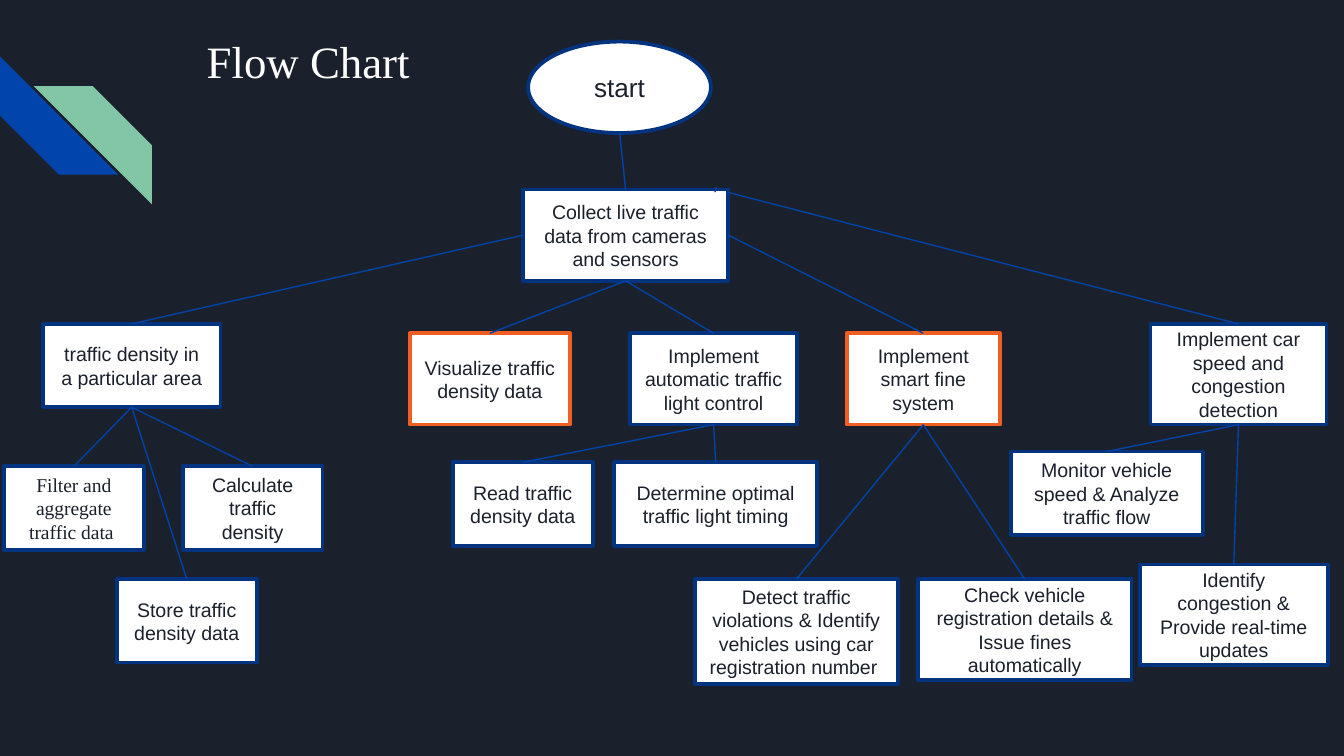
"""Build a traffic management flow chart slide."""
import lxml.etree
import pptx
import pptx.dml.color
import pptx.enum.shapes
import pptx.enum.text
import pptx.oxml.ns
import pptx.util

Inches = pptx.util.Inches
RGBColor = pptx.dml.color.RGBColor
Shapes = pptx.enum.shapes.MSO_SHAPE

BACKGROUND = RGBColor(0x1B, 0x21, 0x2C)
WHITE = RGBColor(0xFF, 0xFF, 0xFF)
NAVY = RGBColor(0x01, 0x33, 0x7F)
ORANGE = RGBColor(0xF1, 0x5E, 0x22)
LINK_BLUE = RGBColor(0x00, 0x43, 0xA9)
STRIPE_BLUE = RGBColor(0x01, 0x45, 0xAC)
STRIPE_GREEN = RGBColor(0x82, 0xC7, 0xA5)

SANS, SERIF = "Arial", "Times New Roman"
TOP, LEFT, BOTTOM, RIGHT = range(4)

TITLE = "Flow Chart"
START = ("start", (3.93, 0.31, 1.36, 0.68))
STEPS = {
    "collect": ("Collect live traffic data from cameras and sensors", (3.89, 1.41, 1.53, 0.68)),
    "density": ("traffic density in a particular area", (0.32, 2.41, 1.32, 0.62)),
    "visualize": ("Visualize traffic density data", (3.05, 2.48, 1.19, 0.68)),
    "lights": ("Implement automatic traffic light control", (4.69, 2.48, 1.24, 0.68)),
    "fines": ("Implement smart fine system", (6.3, 2.48, 1.14, 0.68)),
    "speed": ("Implement car speed and congestion detection", (8.56, 2.41, 1.31, 0.75)),
    "filter": ("Filter and aggregate traffic data ", (0.03, 3.47, 1.04, 0.62)),
    "calculate": ("Calculate traffic density", (1.36, 3.47, 1.04, 0.62)),
    "store": ("Store traffic density data", (0.87, 4.31, 1.04, 0.62)),
    "read": ("Read traffic density data", (3.37, 3.44, 1.04, 0.62)),
    "timing": ("Determine optimal traffic light timing", (4.57, 3.44, 1.51, 0.62)),
    "violations": (
        "Detect traffic violations & Identify vehicles using car registration number ",
        (5.17, 4.31, 1.51, 0.78),
    ),
    "registration": (
        "Check vehicle registration details & Issue fines automatically",
        (6.83, 4.31, 1.59, 0.75),
    ),
    "monitor": ("Monitor vehicle speed & Analyze traffic flow", (7.52, 3.36, 1.43, 0.62)),
    "congestion": (
        "Identify congestion & Provide real-time updates",
        (8.48, 4.2, 1.4, 0.75),
    ),
}
ORANGE_STEPS = ("visualize", "fines")
SERIF_STEPS = ("filter",)
BRANCHES = [
    ("collect", LEFT, ["density"]),
    ("collect", BOTTOM, ["visualize", "lights"]),
    ("collect", RIGHT, ["fines"]),
    ("density", BOTTOM, ["filter", "calculate", "store"]),
    ("lights", BOTTOM, ["read", "timing"]),
    ("fines", BOTTOM, ["violations", "registration"]),
    ("speed", BOTTOM, ["monitor", "congestion"]),
]
LOOSE_LINKS = [
    ((4.61, 0.98), (4.65, 1.41), "collect"),
    ((5.41, 1.43), (9.22, 2.41), "speed"),
    ((5.33, 1.39), (5.32, 1.43), None),
]


def add_run(paragraph, text, font_name, size, color):
    run = paragraph.add_run()
    run.text = text
    run.font.name = font_name
    run.font.size = pptx.util.Pt(size)
    run.font.color.rgb = color


def add_filled(slide, kind, box, fill):
    shape = slide.shapes.add_shape(kind, *map(Inches, box))
    shape.shadow.inherit = False
    shape.fill.solid()
    shape.fill.fore_color.rgb = fill
    return shape


def add_stripe(slide, box, fill):
    stripe = add_filled(slide, Shapes.DIAGONAL_STRIPE, box, fill)
    stripe.adjustments[0] = 0.5
    stripe.line.fill.background()
    return stripe


def add_step(slide, kind, text, box, border=NAVY, font_name=SANS, size=10.5):
    shape = add_filled(slide, kind, box, WHITE)
    shape.line.color.rgb = border
    shape.line.width = pptx.util.Pt(2)
    frame = shape.text_frame
    frame.word_wrap = True
    frame.vertical_anchor = pptx.enum.text.MSO_ANCHOR.MIDDLE
    paragraph = frame.paragraphs[0]
    paragraph.alignment = pptx.enum.text.PP_ALIGN.CENTER
    add_run(paragraph, text, font_name, size, BACKGROUND)
    return shape


def add_link(slide, begin=(0, 0), end=(0, 0)):
    link = slide.shapes.add_connector(
        pptx.enum.shapes.MSO_CONNECTOR.STRAIGHT, *map(Inches, begin + end)
    )
    link.line.color.rgb = LINK_BLUE
    link.line.width = pptx.util.Pt(0.75)
    lxml.etree.SubElement(link._element.spPr, pptx.oxml.ns.qn("a:effectLst"))
    return link


def add_title(slide):
    frame = slide.shapes.add_textbox(*map(Inches, (1.44, 0.15, 7.7, 0.68))).text_frame
    frame.word_wrap = True
    frame.margin_left = frame.margin_right = Inches(0.1)
    frame.margin_top = frame.margin_bottom = Inches(0.1)
    add_run(frame.paragraphs[0], TITLE, SERIF, 24, WHITE)


def main():
    presentation = pptx.Presentation()
    presentation.slide_width = Inches(10)
    presentation.slide_height = presentation.slide_width * 9 // 16
    slide = presentation.slides.add_slide(presentation.slide_layouts[6])
    slide.background.fill.solid()
    slide.background.fill.fore_color.rgb = BACKGROUND

    add_stripe(slide, (0, 0.42, 0.88, 0.88), STRIPE_BLUE).rotation = 270
    green_stripe = add_stripe(slide, (0.25, 0.64, 0.88, 0.88), STRIPE_GREEN)
    green_stripe._element.spPr.xfrm.set("flipH", "1")
    add_title(slide)

    add_step(slide, Shapes.OVAL, *START, size=14)
    steps = {}
    for name, (text, box) in STEPS.items():
        border = ORANGE if name in ORANGE_STEPS else NAVY
        font_name = SERIF if name in SERIF_STEPS else SANS
        steps[name] = add_step(slide, Shapes.RECTANGLE, text, box, border, font_name)

    for parent, side, children in BRANCHES:
        for child in children:
            link = add_link(slide)
            link.begin_connect(steps[parent], side)
            link.end_connect(steps[child], TOP)
    for begin, end, target in LOOSE_LINKS:
        link = add_link(slide, begin, end)
        if target:
            link.end_connect(steps[target], TOP)

    presentation.save("out.pptx")


if __name__ == "__main__":
    main()
